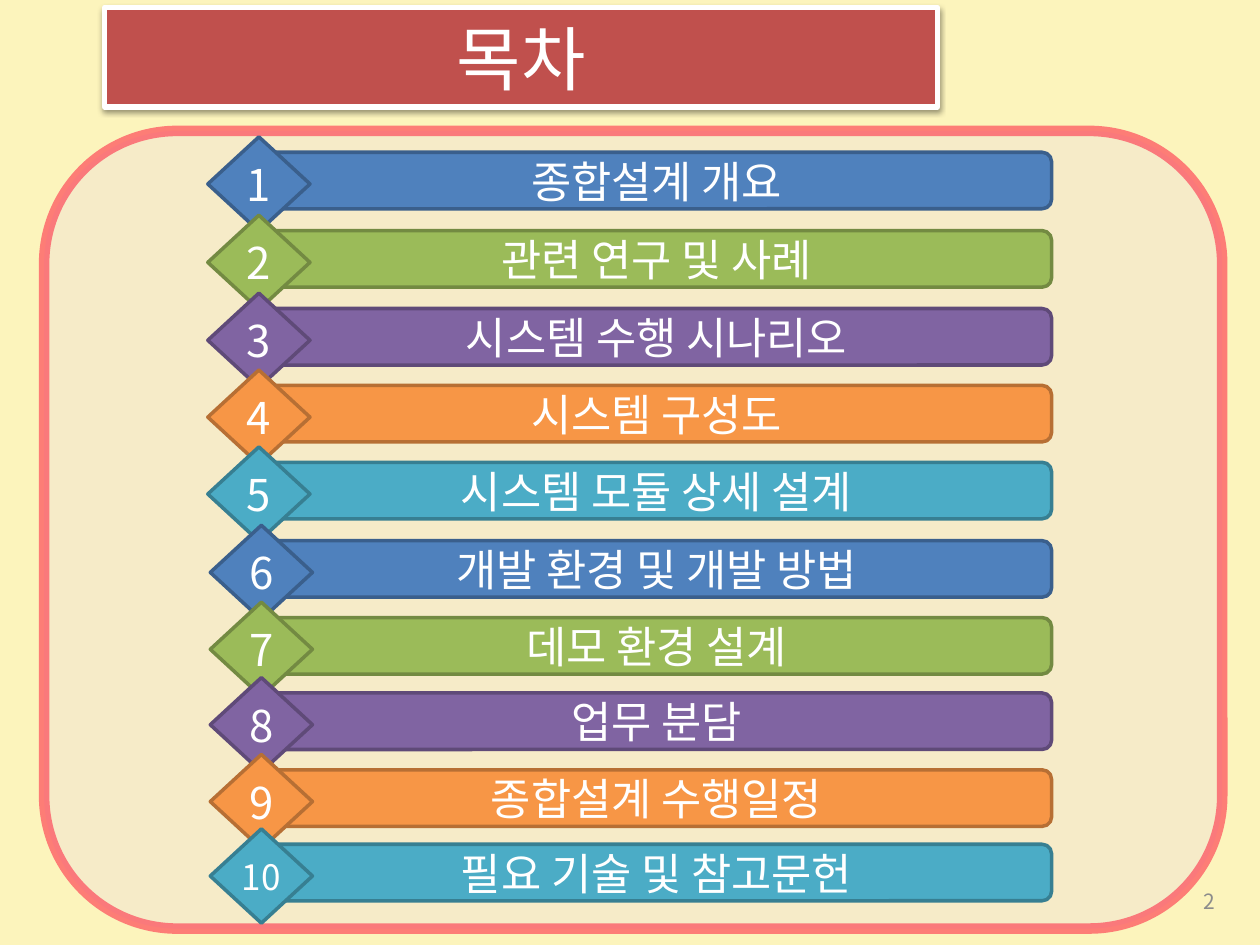
from lxml import etree
from pptx import Presentation
from pptx.dml.color import RGBColor
from pptx.enum.shapes import MSO_SHAPE
from pptx.enum.text import MSO_ANCHOR, MSO_AUTO_SIZE, PP_ALIGN
from pptx.oxml import parse_xml
from pptx.oxml.ns import nsdecls, qn
from pptx.util import Cm, Pt

ROUND, DIAMOND = MSO_SHAPE.ROUNDED_RECTANGLE, MSO_SHAPE.DIAMOND
MIDDLE, NO_FIT = MSO_ANCHOR.MIDDLE, MSO_AUTO_SIZE.NONE
CENTER, RIGHT = PP_ALIGN.CENTER, PP_ALIGN.RIGHT
FONT = "Noto Sans CJK KR"
WHITE = "FFFFFF"

# (fill, outline), repeated down the list
PALETTE = [("4F81BD", "3A5F8C"), ("9BBB59", "738A42"), ("8064A2", "5F4A78"),
           ("F79646", "B76F34"), ("4BACC6", "377F92")]

# (top of bar in cm, heading)
CONTENTS = [
    (3.07, "종합설계 개요"),
    (4.65, "관련 연구 및 사례"),
    (6.22, "시스템 수행 시나리오"),
    (7.77, "시스템 구성도"),
    (9.32, "시스템 모듈 상세 설계"),
    (10.9, "개발 환경 및 개발 방법"),
    (12.45, "데모 환경 설계"),
    (13.97, "업무 분담"),
    (15.52, "종합설계 수행일정"),
    (17.02, "필요 기술 및 참고문헌"),
]


def rgb(color):
    return RGBColor.from_string(color)


def paint(s, fill, line, width):
    s.fill.solid()
    s.fill.fore_color.rgb = rgb(fill)
    s.line.color.rgb = rgb(line)
    s.line.width = Pt(width)


def set_alpha(s, percent):
    """Make both fill and outline of a painted shape partly transparent."""
    for color in s._element.spPr.iter(qn("a:srgbClr")):
        etree.SubElement(color, qn("a:alpha"), val=str(percent * 1000))


def write(s, text, size, color=WHITE, align=CENTER):
    tf = s.text_frame
    tf.auto_size = NO_FIT
    tf.vertical_anchor = MIDDLE
    tf.word_wrap = False
    tf.margin_top = tf.margin_bottom = 0
    if align == CENTER:
        tf.margin_left = tf.margin_right = 0
    p = tf.paragraphs[0]
    p.alignment = align
    r = p.add_run()
    r.text = text
    r.font.name = FONT
    r.font.size = Pt(size)
    r.font.color.rgb = rgb(color)
    latin = r.font._element.find(qn("a:latin"))
    latin.addnext(parse_xml(f'<a:ea {nsdecls("a")} typeface="{FONT}"/>'))


def add_box(slide, kind, left, top, width, height, fill, line, line_width):
    s = slide.shapes.add_shape(kind, Cm(left), Cm(top), Cm(width), Cm(height))
    s.shadow.inherit = False
    paint(s, fill, line, line_width)
    return s


def format_title(slide, text):
    s = slide.shapes.title
    s.left, s.top, s.width, s.height = Cm(2.11), Cm(0.15), Cm(16.79), Cm(2.01)
    spPr = s._element.spPr
    spPr.append(parse_xml(
        f'<a:prstGeom {nsdecls("a")} prst="roundRect"><a:avLst/></a:prstGeom>'))
    paint(s, "C0504D", WHITE, 3)
    spPr.append(parse_xml(
        f'<a:effectLst {nsdecls("a")}><a:outerShdw blurRad="39370" dist="20320" '
        'dir="5400000" rotWithShape="0"><a:srgbClr val="000000">'
        '<a:alpha val="38000"/></a:srgbClr></a:outerShdw></a:effectLst>'))
    write(s, text, 40)


def add_entry(slide, number, top, heading):
    fill, line = PALETTE[(number - 1) % len(PALETTE)]
    bar = add_box(slide, ROUND, 5.27, top, 15.93, 1.14, fill, line, 2)
    write(bar, heading, 25)
    left = 4.19 if number <= 5 else 4.24
    marker = add_box(slide, DIAMOND, left, top - 0.31, 2.06, 1.9, fill, line, 2)
    write(marker, str(number), 25 if number < 10 else 20)


def add_slide_number(slide, number):
    s = slide.shapes.add_textbox(Cm(18.82), Cm(17.65), Cm(5.92), Cm(1.02))
    write(s, number, 12, "8C8C8C", RIGHT)
    s.text_frame.word_wrap = True


def main():
    prs = Presentation()
    prs.slide_width, prs.slide_height = Cm(25.4), Cm(19.05)
    slide = prs.slides.add_slide(prs.slide_layouts[5])
    slide.background.fill.solid()
    slide.background.fill.fore_color.rgb = rgb("FCF4BC")

    format_title(slide, "목차")
    frame = add_box(slide, ROUND, 0.89, 2.64, 23.75, 16.08, "F2E5D4", "FF1C3D", 6)
    set_alpha(frame, 54)
    for number, (top, heading) in enumerate(CONTENTS, 1):
        add_entry(slide, number, top, heading)
    add_slide_number(slide, "2")

    prs.save("out.pptx")


if __name__ == "__main__":
    main()
